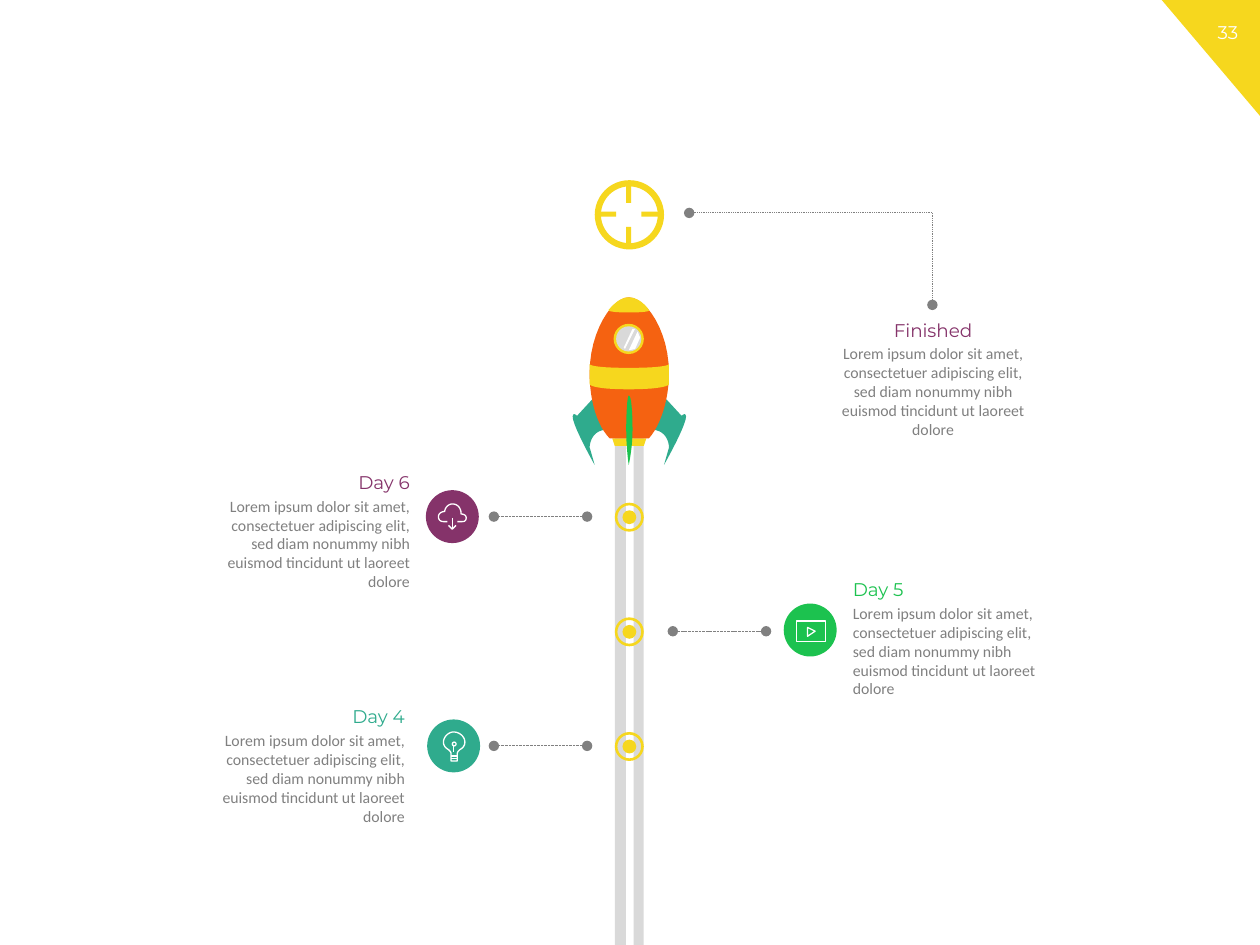
"""Build a rocket timeline slide with three days and a finish."""
import dataclasses

import lxml.etree
import pptx
import pptx.dml.color
import pptx.enum.dml
import pptx.enum.shapes
import pptx.enum.text
import pptx.oxml.ns
import pptx.util

SHAPES = pptx.enum.shapes.MSO_SHAPE
ALIGN = pptx.enum.text.PP_ALIGN
DASH = pptx.enum.dml.MSO_LINE
EMU_PER_PX = 9144
CURVE_STEPS = 12
LOREM = ("Lorem ipsum dolor sit amet, consectetuer adipiscing elit, "
         "sed diam nonummy nibh euismod tincidunt ut laoreet dolore")


@dataclasses.dataclass(frozen=True)
class Theme:
    yellow: str = "F6D71E"
    orange: str = "F56211"
    teal: str = "2FAB8D"
    green: str = "1CC24F"
    plum: str = "85336A"
    light: str = "D9D9D9"
    gray: str = "808080"
    white: str = "FFFFFF"
    heading_font: str = "Montserrat"
    body_font: str = "Calibri"
    heading_size: float = 10.5
    body_size: float = 9
    rule: float = 0.5
    stroke: float = 0.75


def emu(px):
    return pptx.util.Emu(round(px * EMU_PER_PX))


def color(code):
    return pptx.dml.color.RGBColor.from_string(code)


def flatten(start, segments):
    """Turn lines (x, y) and cubic curves (six numbers) into points."""
    points = [start]
    for segment in segments:
        if len(segment) == 2:
            points.append(segment)
            continue
        corners = [points[-1], segment[:2], segment[2:4], segment[4:]]
        for step in range(1, CURVE_STEPS + 1):
            t = step / CURVE_STEPS
            weights = ((1 - t) ** 3, 3 * t * (1 - t) ** 2, 3 * t * t * (1 - t), t ** 3)
            points.append(tuple(sum(w * c[axis] for w, c in zip(weights, corners))
                                for axis in (0, 1)))
    return points


def mirror(segments, center_sum=999):
    return [tuple(center_sum - value if index % 2 == 0 else value
                  for index, value in enumerate(segment)) for segment in segments]


def write(box, text, *, font, size, tint, align=ALIGN.LEFT):
    """Put formatted text into a box."""
    frame = box.text_frame
    frame.word_wrap = True
    frame.auto_size = pptx.enum.text.MSO_AUTO_SIZE.SHAPE_TO_FIT_TEXT
    para = frame.paragraphs[0]
    para.alignment = align
    span = para.add_run()
    span.text = text
    span.font.name = font
    span.font.size = pptx.util.Pt(size)
    span.font.color.rgb = color(tint)


class Painter:
    def __init__(self, page, theme):
        self.page = page
        self.theme = theme

    def paint(self, shape, fill, line):
        shape.shadow.inherit = False
        if fill:
            shape.fill.solid()
            shape.fill.fore_color.rgb = color(fill)
        else:
            shape.fill.background()
        if line:
            shape.line.color.rgb = color(line)
            shape.line.width = pptx.util.Pt(self.theme.stroke)
        else:
            shape.line.fill.background()
        return shape

    def shape(self, kind, left, top, width, height, fill=None, line=None):
        shape = self.page.shapes.add_shape(kind, *map(emu, (left, top, width, height)))
        return self.paint(shape, fill, line)

    def ring(self, left, top, size, thickness):
        ring = self.shape(SHAPES.DONUT, left, top, size, size, self.theme.yellow)
        ring.adjustments[0] = thickness

    def outline(self, start, *segments, fill=None, line=None, close=True):
        points = [tuple(map(emu, point)) for point in flatten(start, segments)]
        builder = self.page.shapes.build_freeform(*points[0], scale=1.0)
        builder.add_line_segments(points[1:], close=close)
        return self.paint(builder.convert_to_shape(), fill, line)

    def link(self, start, end, tint, width, dash=None, head=False, tail=False):
        link = self.page.shapes.add_connector(
            pptx.enum.shapes.MSO_CONNECTOR.STRAIGHT, *map(emu, start + end))
        link.line.color.rgb = color(tint)
        link.line.width = pptx.util.Pt(width)
        if dash:
            link.line.dash_style = dash
        properties = link._element.spPr
        line = properties.find(pptx.oxml.ns.qn("a:ln"))
        for name, wanted in (("a:headEnd", head), ("a:tailEnd", tail)):
            if wanted:
                lxml.etree.SubElement(line, pptx.oxml.ns.qn(name), type="oval")
        lxml.etree.SubElement(properties, pptx.oxml.ns.qn("a:effectLst"))

    def text(self, left, top, width, height, text, **style):
        box = self.page.shapes.add_textbox(*map(emu, (left, top, width, height)))
        write(box, text, **style)

    def caption(self, left, top, heading, tint, align):
        theme = self.theme
        self.text(left, top + 20, 181, 86, LOREM, font=theme.body_font,
                  size=theme.body_size, tint=theme.gray, align=align)
        self.text(left, top, 181, 28, heading, font=theme.heading_font,
                  size=theme.heading_size, tint=tint, align=align)


def draw_rocket(painter):
    theme = painter.theme
    fin = [(470, 317), (458, 330), (458, 330, 456, 328, 455, 329),
           (451, 332, 472, 369, 472, 369), (468, 355),
           (468, 355, 468, 342, 481, 341)]
    painter.outline(*fin, fill=theme.teal)
    painter.outline(*mirror(fin), fill=theme.teal)
    painter.outline((511, 354), (488, 354), (486, 348), (513, 348), fill=theme.yellow)
    painter.outline((515, 348), (524, 338, 531, 318, 531, 296),
                    (531, 263, 513, 236, 499, 236), (486, 236, 468, 263, 468, 296),
                    (468, 318, 474, 338, 484, 348), fill=theme.orange)
    painter.outline((515, 246), (510, 239, 504, 236, 499, 236),
                    (494, 236, 489, 239, 483, 246), (483, 246, 481, 248, 499, 248),
                    (518, 248, 515, 246, 515, 246), fill=theme.yellow)
    painter.outline((468, 289), (468, 305), (468, 305, 469, 309, 499, 309),
                    (530, 309, 531, 305, 531, 305), (531, 289),
                    (531, 289, 531, 292, 499, 292), (468, 292, 468, 289, 468, 289),
                    fill=theme.yellow)
    painter.outline((502, 341), (502, 356, 499, 369, 499, 369),
                    (499, 369, 497, 356, 497, 341), (497, 326, 498, 314, 499, 314),
                    (501, 314, 502, 326, 502, 341), fill=theme.green)
    painter.shape(SHAPES.OVAL, 487, 257, 24, 24, theme.yellow)
    painter.shape(SHAPES.OVAL, 489, 259, 20, 20, theme.light)
    painter.outline((504, 261), (502, 261), (495, 276), (496, 277), fill=theme.white)
    painter.outline((506, 263), (499, 278), (504, 277), (508, 268), fill=theme.white)


def draw_target(painter):
    painter.ring(472, 143, 55, 0.09)
    for tick in ((497, 146, 4, 15), (497, 180, 4, 15), (475, 168, 14, 4), (509, 168, 14, 4)):
        painter.shape(SHAPES.RECTANGLE, *tick, painter.theme.yellow)


def draw_icons(painter):
    white, stroke = painter.theme.white, painter.theme.stroke
    painter.outline((355, 414), (352, 414), (350, 414, 348, 413, 348, 410),
                    (348, 408, 350, 406, 353, 406), (353, 403, 356, 400, 359, 400),
                    (363, 400, 366, 403, 366, 408), (368, 408, 370, 409, 370, 411),
                    (370, 413, 369, 414, 367, 414), (363, 414), line=white, close=False)
    painter.link((359, 411), (359, 420), white, stroke)
    painter.outline((356, 417), (359, 420), (362, 417), line=white, close=False)
    painter.shape(SHAPES.RECTANGLE, 632, 493, 23, 16, line=white)
    painter.outline((641, 498), (647, 501), (641, 505), line=white)
    painter.outline((360, 581), (365, 581, 369, 585, 369, 589), (369, 592, 367, 594, 365, 595),
                    (364, 596, 363, 597, 363, 598), (363, 604), (358, 604), (358, 598),
                    (358, 597, 357, 596, 356, 595), (354, 594, 352, 592, 352, 589),
                    (352, 585, 356, 581, 360, 581), line=white)
    painter.shape(SHAPES.OVAL, 359, 589, 3, 3, line=white)
    painter.link((360, 592), (360, 597), white, stroke)
    for top in (600, 602):
        painter.link((358, top), (363, top), white, stroke)


def main():
    theme = Theme()
    deck = pptx.Presentation()
    deck.slide_width, deck.slide_height = emu(1000), emu(750)
    painter = Painter(deck.slides.add_slide(deck.slide_layouts[6]), theme)

    painter.shape(SHAPES.RIGHT_TRIANGLE, 922, 0, 78, 92, theme.yellow).rotation = 180
    painter.text(949, 12, 51, 28, "33", font=theme.heading_font,
                 size=theme.heading_size, tint=theme.white, align=ALIGN.CENTER)
    painter.shape(SHAPES.RECTANGLE, 488, 325, 23, 425, theme.light)
    painter.shape(SHAPES.RECTANGLE, 497, 329, 6, 421, theme.white)
    draw_rocket(painter)
    draw_target(painter)

    days = (("Day 6", theme.plum, (338, 389), (154, 369), (466, 392), ALIGN.RIGHT),
            ("Day 5", theme.green, (622, 479), (667, 454), (534, 608), ALIGN.LEFT),
            ("Day 4", theme.teal, (339, 571), (150, 555), (466, 392), ALIGN.RIGHT))
    for index, (heading, tint, disc, caption, ends, align) in enumerate(days):
        top = 399 + 91 * index
        painter.shape(SHAPES.OVAL, 494, top + 6, 11, 11, theme.yellow)
        painter.ring(488, top, 23, 0.09)
        start, end = ((x, top + 11) for x in ends)
        painter.link(start, end, theme.gray, theme.rule, DASH.SQUARE_DOT, True, True)
        painter.shape(SHAPES.OVAL, *disc, 42, 42, tint)
        painter.caption(*caption, heading, tint, align)
    draw_icons(painter)

    corner = (740, 169)
    painter.link((547, 169), corner, theme.gray, theme.rule, DASH.ROUND_DOT, head=True)
    painter.link(corner, (740, 242), theme.gray, theme.rule, DASH.ROUND_DOT, tail=True)
    painter.caption(650, 248, "Finished", theme.plum, ALIGN.CENTER)
    deck.save("out.pptx")


if __name__ == "__main__":
    main()
